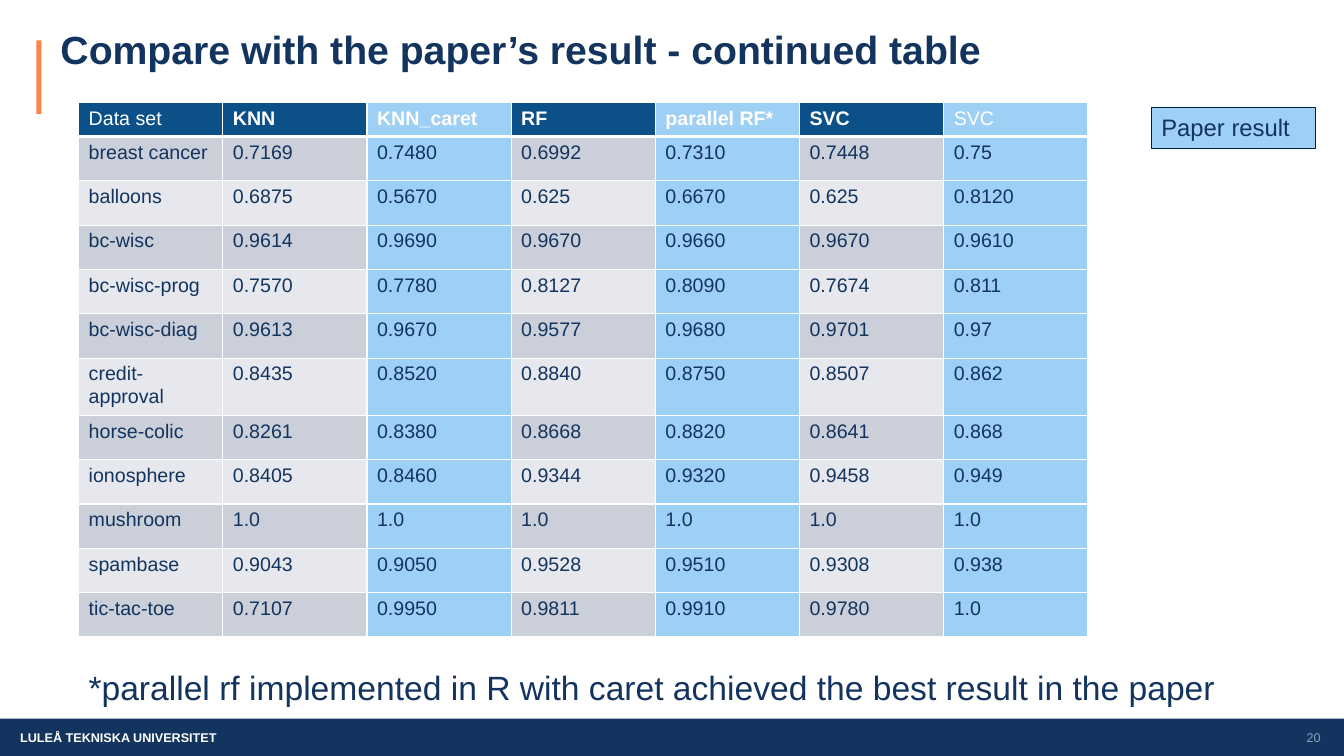
from dataclasses import dataclass

from lxml import etree
from pptx import Presentation
from pptx import util as u
from pptx.dml.color import RGBColor
from pptx.enum import shapes, text
from pptx.oxml.ns import qn


@dataclass(frozen=True)
class Theme:
    font: str = "Arial"
    navy: str = "13345E"
    orange: str = "FF8247"
    header: str = "0C5089"
    paper: str = "9ECFF5"
    outline: str = "032040"
    muted: str = "88A5BD"
    white: str = "FFFFFF"
    bands: tuple = ("CACFD9", "E6E8ED")
    title_size: int = 28
    note_size: int = 24
    legend_size: int = 17
    table_size: int = 14
    footer_size: int = 9


HEADINGS = ["Data set", "KNN", "KNN_caret", "RF", "parallel RF*", "SVC", "SVC"]
PAPER_COLUMNS = {2, 4, 6}
REGULAR_HEADINGS = {0, 6}
RESULTS = [
    ["breast cancer", "0.7169", "0.7480", "0.6992", "0.7310", "0.7448", "0.75"],
    ["balloons", "0.6875", "0.5670", "0.625", "0.6670", "0.625", "0.8120"],
    ["bc-wisc", "0.9614", "0.9690", "0.9670", "0.9660", "0.9670", "0.9610"],
    ["bc-wisc-prog", "0.7570", "0.7780", "0.8127", "0.8090", "0.7674", "0.811"],
    ["bc-wisc-diag", "0.9613", "0.9670", "0.9577", "0.9680", "0.9701", "0.97"],
    ["credit-approval", "0.8435", "0.8520", "0.8840", "0.8750", "0.8507", "0.862"],
    ["horse-colic", "0.8261", "0.8380", "0.8668", "0.8820", "0.8641", "0.868"],
    ["ionosphere", "0.8405", "0.8460", "0.9344", "0.9320", "0.9458", "0.949"],
    ["mushroom", "1.0", "1.0", "1.0", "1.0", "1.0", "1.0"],
    ["spambase", "0.9043", "0.9050", "0.9528", "0.9510", "0.9308", "0.938"],
    ["tic-tac-toe", "0.7107", "0.9950", "0.9811", "0.9910", "0.9780", "1.0"],
]


def inches(*lengths):
    return [u.Inches(length) for length in lengths]


def set_all(target, values):
    for name, value in values.items():
        setattr(target, name, value)


class SlideBuilder:
    def __init__(self, slide, theme):
        self.slide = slide
        self.theme = theme

    def fill_text(self, frame, words, size, color, bold=False, align=text.PP_ALIGN.LEFT,
                  **frame_format):
        set_all(frame, {"word_wrap": True, **frame_format})
        paragraph = frame.paragraphs[0]
        paragraph.alignment = align
        run = paragraph.add_run()
        run.text = words
        set_all(run.font, {"name": self.theme.font, "size": u.Pt(size), "bold": bold})
        run.font.color.rgb = RGBColor.from_string(color)

    def title(self, box, words):
        title = self.slide.shapes.title
        set_all(title, dict(zip(("left", "top", "width", "height"), inches(*box))))
        self.fill_text(title.text_frame, words, self.theme.title_size, self.theme.navy, bold=True,
                       margin_left=0, vertical_anchor=text.MSO_ANCHOR.MIDDLE,
                       auto_size=text.MSO_AUTO_SIZE.NONE)
        title.text_frame.paragraphs[0].line_spacing = 0.9

    def rectangle(self, box, fill, line=None):
        rectangle = self.slide.shapes.add_shape(shapes.MSO_SHAPE.RECTANGLE, *inches(*box))
        rectangle.shadow.inherit = False
        rectangle.fill.solid()
        rectangle.fill.fore_color.rgb = RGBColor.from_string(fill)
        if line:
            rectangle.line.color.rgb = RGBColor.from_string(line)
            rectangle.line.width = u.Pt(0.75)
        else:
            rectangle.line.fill.background()
        return rectangle

    def text_box(self, box, words, size, color, **text_format):
        frame = self.slide.shapes.add_textbox(*inches(*box)).text_frame
        self.fill_text(frame, words, size, color, **text_format)

    def note(self, box, words, size):
        """Add navy text in a box with equal margins that grows with its text."""
        margins = {f"margin_{side}": u.Inches(0.1) for side in ("left", "top", "right", "bottom")}
        self.text_box(box, words, size, self.theme.navy,
                      auto_size=text.MSO_AUTO_SIZE.SHAPE_TO_FIT_TEXT, **margins)

    def borders(self, cell, widths):
        properties = cell._tc.get_or_add_tcPr()
        for side, points in widths.items():
            line = etree.SubElement(properties, qn(f"a:{side}"), w=str(u.Pt(points)))
            fill = etree.SubElement(line, qn("a:solidFill"))
            etree.SubElement(fill, qn("a:srgbClr"), val=self.theme.white)

    def table(self, left, top, column_width, header_height, row_height, rows):
        theme = self.theme
        heights = [header_height] + [row_height] * (len(rows) - 1)
        columns = len(rows[0])
        box = inches(left, top, column_width * columns, sum(heights))
        table = self.slide.shapes.add_table(len(rows), columns, *box).table
        for column in table.columns:
            column.width = u.Inches(column_width)
        for r, (values, height) in enumerate(zip(rows, heights)):
            table.rows[r].height = u.Inches(height)
            for c, value in enumerate(values):
                cell = table.cell(r, c)
                is_header = r == 0
                self.fill_text(cell.text_frame, value, theme.table_size,
                               theme.white if is_header else theme.navy,
                               bold=is_header and c not in REGULAR_HEADINGS)
                self.borders(cell, {"lnL": 1, "lnR": 1, "lnT": 3 if r == 1 else 1,
                                    "lnB": 3 if is_header else 1})
                row_fill = theme.header if is_header else theme.bands[(r - 1) % 2]
                cell.fill.solid()
                cell.fill.fore_color.rgb = RGBColor.from_string(
                    theme.paper if c in PAPER_COLUMNS else row_fill)


def main():
    deck = Presentation()
    deck.slide_width, deck.slide_height = inches(13.33, 7.5)
    theme = Theme()
    builder = SlideBuilder(deck.slides.add_slide(deck.slide_layouts[5]), theme)

    footer = builder.rectangle((0, 7.13, 13.33, 0.37), theme.navy)
    builder.fill_text(footer.text_frame, "LULEÅ TEKNISKA UNIVERSITET", theme.footer_size,
                      theme.white, bold=True, margin_left=u.Inches(0.2),
                      vertical_anchor=text.MSO_ANCHOR.MIDDLE)
    builder.rectangle((0.36, 0.4, 0.05, 0.73), theme.orange)
    builder.title((0.6, 0, 9.99, 1.02), "Compare with the paper’s result - continued table")
    builder.text_box((12.73, 7.12, 0.6, 0.4), "20", theme.footer_size, theme.muted,
                     align=text.PP_ALIGN.CENTER, vertical_anchor=text.MSO_ANCHOR.MIDDLE)
    builder.table(0.78, 1.02, 1.43, 0.32, 0.44, [HEADINGS] + RESULTS)
    builder.note((0.78, 6.52, 12.27, 0.61),
                 "*parallel rf implemented in R with caret achieved the best result in the paper",
                 theme.note_size)
    builder.rectangle((11.42, 1.07, 1.63, 0.4), theme.paper, theme.outline)
    builder.note((11.42, 1.02, 1.63, 0.49), "Paper result", theme.legend_size)

    deck.save("out.pptx")


if __name__ == "__main__":
    main()
